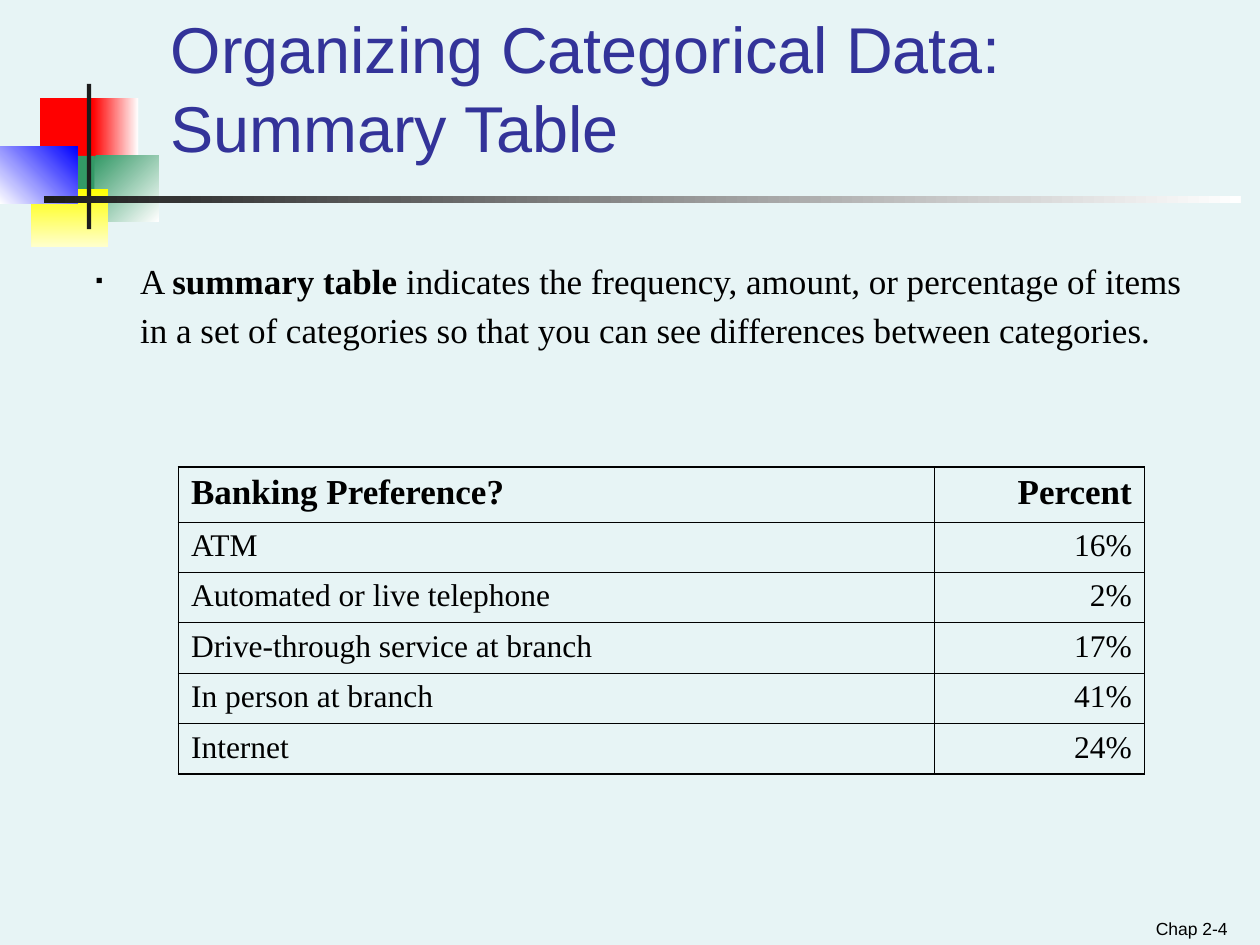
from dataclasses import dataclass

from lxml import etree
from pptx import Presentation
from pptx.dml.color import RGBColor
from pptx.enum.shapes import MSO_SHAPE
from pptx.enum.text import MSO_ANCHOR, PP_ALIGN
from pptx.oxml.ns import qn
from pptx.util import Pt

RECTANGLE = MSO_SHAPE.RECTANGLE
TOP, BOTTOM = MSO_ANCHOR.TOP, MSO_ANCHOR.BOTTOM
LEFT, RIGHT = PP_ALIGN.LEFT, PP_ALIGN.RIGHT


@dataclass(frozen=True)
class Theme:
    background: str = "E7F4F5"
    title: str = "333399"
    text: str = "000000"
    dark: str = "1C1C1C"
    white: str = "FFFFFF"
    red: str = "FF0000"
    green: str = "339966"
    yellow: str = "FFFF00"
    pale_yellow: str = "FFFFCC"
    blue: str = "0000FF"
    sans: str = "Arial"
    serif: str = "Times New Roman"
    title_size: float = 37
    body_size: float = 20
    cell_size: float = 18
    footer_size: float = 10
    outer_line: float = 1.08
    inner_line: float = 0.45


THEME = Theme()

PREFERENCES = [
    ("Banking Preference?", "Percent"),
    ("ATM", "16%"),
    ("Automated or live telephone", "2%"),
    ("Drive-through service at branch", "17%"),
    ("In person at branch", "41%"),
    ("Internet", "24%"),
]


def add_span(para, text, font, size, color, bold=False):
    span = para.add_run()
    span.text = text
    span.font.name = font
    span.font.size = Pt(size)
    span.font.bold = bold
    span.font.color.rgb = RGBColor.from_string(color)


def add_text_frame(page, box, anchor=TOP, top=3.6, bottom=3.6):
    frame = page.shapes.add_textbox(*map(Pt, box)).text_frame
    frame.word_wrap = True
    frame.vertical_anchor = anchor
    frame.margin_left = frame.margin_right = Pt(6.6)
    frame.margin_top, frame.margin_bottom = Pt(top), Pt(bottom)
    return frame


def add_block(page, box, start, end=None, angle=0):
    """Add a borderless rectangle; the gradient angle runs clockwise."""
    block = page.shapes.add_shape(RECTANGLE, *map(Pt, box))
    block.shadow.inherit = False
    block.line.fill.background()
    if end is None:
        block.fill.solid()
        block.fill.fore_color.rgb = RGBColor.from_string(start)
        return
    block.fill.gradient()
    block.fill.gradient_angle = (360 - angle) % 360
    for stop, color in zip(block.fill.gradient_stops, (start, end)):
        stop.color.rgb = RGBColor.from_string(color)


def add_ornament(page, box):
    left, top, width, height = box
    blocks = [
        ((23, 8, 34.5, 37.5), THEME.red),
        ((53, 8, 26, 37.5), THEME.red, THEME.white),
        ((54, 41, 36.8, 37.5), THEME.green, THEME.white, 45),
        ((31, 41, 23, 37.5), THEME.green),
        ((18, 60, 44, 33), THEME.yellow, THEME.pale_yellow, 90),
        ((0, 35.5, 44.3, 33), THEME.white, THEME.blue, 315),
        ((49.7, 0, 2.5, height - 10), THEME.dark),
        ((25, 64, width - 25, 4.3), THEME.dark, THEME.white),
    ]
    for (x, y, w, h), *fill in blocks:
        add_block(page, (left + x, top + y, w, h), *fill)


def add_title(page, box):
    para = add_text_frame(page, box, BOTTOM, bottom=1.5).paragraphs[0]
    para.line_spacing = Pt(45)
    add_span(para, "Organizing Categorical Data: Summary Table",
             THEME.sans, THEME.title_size, THEME.title)


def add_bullet(para, symbol, indent):
    props = para._p.get_or_add_pPr()
    props.set("marL", str(Pt(indent)))
    props.set("indent", str(Pt(-indent)))
    color = etree.SubElement(props, qn("a:buClr"))
    etree.SubElement(color, qn("a:srgbClr"), val=THEME.text)
    etree.SubElement(props, qn("a:buSzPct"), val="60000")
    etree.SubElement(props, qn("a:buFont"), typeface=THEME.serif)
    etree.SubElement(props, qn("a:buChar"), char=symbol)


def add_definition(page, box):
    para = add_text_frame(page, box, top=0.5).paragraphs[0]
    add_bullet(para, "▪", 25.5)
    para.line_spacing = Pt(28)
    spans = [
        ("A ", False),
        ("summary table ", True),
        ("indicates the frequency, amount, or percentage of items in a set of "
         "categories so that you can see differences between categories.", False),
    ]
    for text, bold in spans:
        add_span(para, text, THEME.serif, THEME.body_size, THEME.text, bold)


def set_borders(cell, outer_sides):
    props = cell._tc.get_or_add_tcPr()
    for side in "LRTB":
        width = THEME.outer_line if side in outer_sides else THEME.inner_line
        line = etree.SubElement(props, qn(f"a:ln{side}"), w=str(Pt(width)))
        fill = etree.SubElement(line, qn("a:solidFill"))
        etree.SubElement(fill, qn("a:srgbClr"), val=THEME.text)


def add_preference_table(page, box):
    left, top, width, height = box
    last_row, header_height, percent_width = len(PREFERENCES) - 1, 31, 120
    table = page.shapes.add_table(len(PREFERENCES), 2, *map(Pt, box)).table
    table.first_row = table.horz_banding = False
    table.columns[0].width = Pt(width - percent_width)
    table.columns[1].width = Pt(percent_width)
    for row, values in enumerate(PREFERENCES):
        header = row == 0
        table.rows[row].height = Pt(
            header_height if header else (height - header_height) / last_row)
        size = THEME.body_size if header else THEME.cell_size
        edges = "T" if header else "B" if row == last_row else ""
        for column, value in enumerate(values):
            cell = table.cell(row, column)
            set_borders(cell, edges + "LR"[column])
            cell.fill.background()
            cell.margin_left = cell.margin_right = Pt(7.2)
            cell.margin_top = cell.margin_bottom = Pt(3.6)
            para = cell.text_frame.paragraphs[0]
            para.alignment = (LEFT, RIGHT)[column]
            add_span(para, value, THEME.serif, size, THEME.text, header)


def add_footer(page, box):
    para = add_text_frame(page, box, BOTTOM).paragraphs[0]
    para.alignment = RIGHT
    add_span(para, "Chap 2-4", THEME.sans, THEME.footer_size, THEME.text)


def main():
    deck = Presentation()
    deck.slide_width, deck.slide_height = Pt(720), Pt(540)
    page = deck.slides.add_slide(deck.slide_layouts[6])
    page.background.fill.solid()
    page.background.fill.fore_color.rgb = RGBColor.from_string(THEME.background)

    add_ornament(page, (0, 48, 709, 93))
    add_footer(page, (540, 515, 168, 25))
    add_title(page, (91, 18, 581, 78))
    add_definition(page, (48, 144, 636, 106))
    add_preference_table(page, (102, 267, 552, 175))
    deck.save("out.pptx")


if __name__ == "__main__":
    main()
